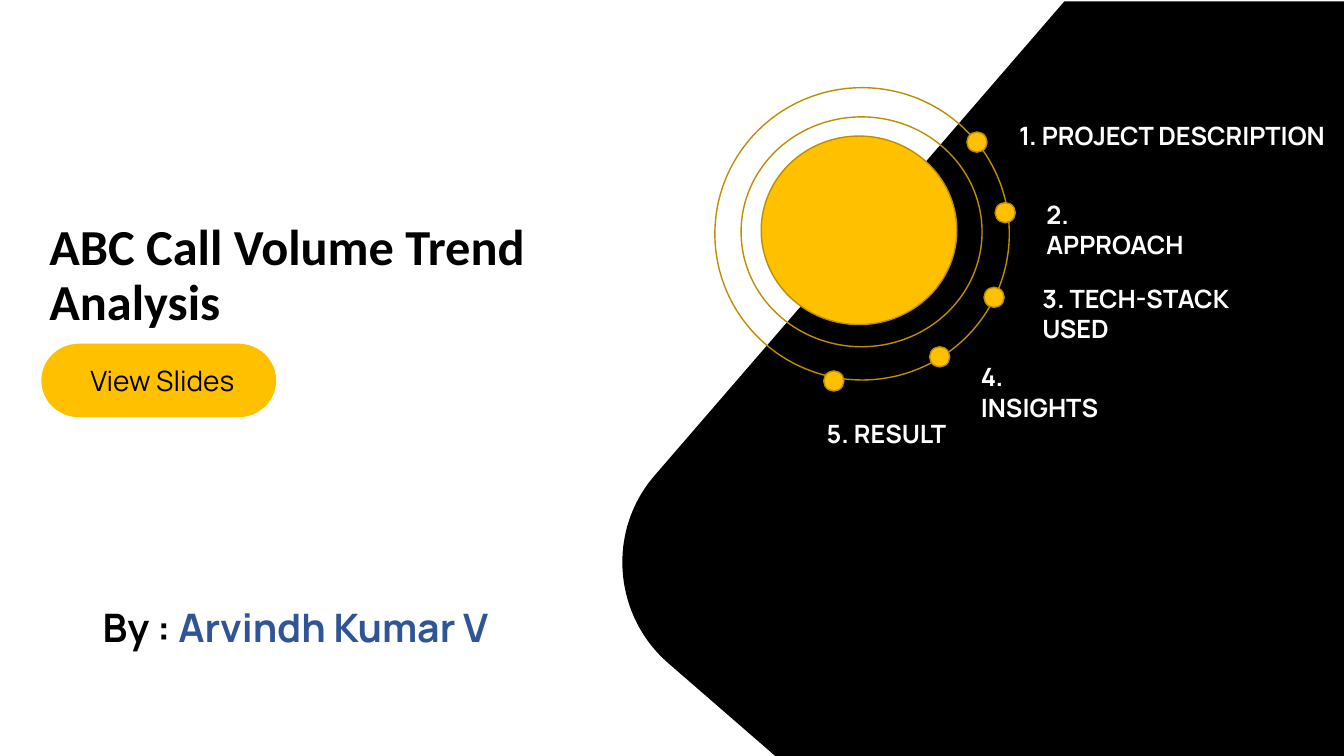
from dataclasses import dataclass

import pptx
import pptx.dml.color
import pptx.enum.shapes
import pptx.enum.text
import pptx.util

Inches = pptx.util.Inches
SHAPES = pptx.enum.shapes.MSO_SHAPE
ALIGN = pptx.enum.text.PP_ALIGN
ANCHOR = pptx.enum.text.MSO_ANCHOR
AUTO_SIZE = pptx.enum.text.MSO_AUTO_SIZE


@dataclass(frozen=True)
class Theme:
    black: str = "000000"
    white: str = "FFFFFF"
    gold: str = "FFC000"
    dark_gold: str = "BD8E00"
    blue: str = "2F5597"
    heading_font: str = "Calibri"
    body_font: str = "Manrope"
    title_size: int = 36
    author_size: int = 28
    button_size: int = 20
    agenda_size: int = 18


THEME = Theme()

# Each agenda entry: text, left, top, width, then left and top of its dot
AGENDA = [
    ("1. PROJECT DESCRIPTION", 10.01, 1.14, 3.33, 9.59, 1.31),
    ("2. APPROACH", 10.28, 1.93, 1.8, 9.87, 2.01),
    ("3. TECH-STACK USED", 10.24, 2.76, 2.68, 9.76, 2.85),
    ("4. INSIGHTS", 9.63, 3.54, 1.63, 9.22, 3.44),
    ("5. RESULT", 8.1, 4.1, 1.6, 8.17, 3.68),
]
DOT_SIZE = 0.2


def rgb(color):
    return pptx.dml.color.RGBColor.from_string(color)


def write_text(paragraph, text, *, size, color, font=THEME.body_font,
               bold=False, align=ALIGN.LEFT):
    paragraph.alignment = align
    run = paragraph.add_run()
    run.text = text
    run.font.name = font
    run.font.size = pptx.util.Pt(size)
    run.font.bold = bold
    run.font.color.rgb = rgb(color)


def style_shape(shape, fill=None, line=None):
    shape.shadow.inherit = False
    if fill:
        shape.fill.solid()
        shape.fill.fore_color.rgb = rgb(fill)
    else:
        shape.fill.background()
    if line:
        shape.line.color.rgb = rgb(line)
        shape.line.width = pptx.util.Pt(1)
    else:
        shape.line.fill.background()


def add_preset(slide, kind, left, top, width, height, fill=None, line=None):
    shape = slide.shapes.add_shape(
        kind, Inches(left), Inches(top), Inches(width), Inches(height))
    style_shape(shape, fill, line)
    return shape


def add_text_box(slide, left, top, width, height):
    box = slide.shapes.add_textbox(
        Inches(left), Inches(top), Inches(width), Inches(height))
    box.text_frame.word_wrap = True
    box.text_frame.auto_size = AUTO_SIZE.SHAPE_TO_FIT_TEXT
    return box.text_frame.paragraphs[0]


def bezier_points(start, control_1, control_2, end, steps=40):
    for step in range(1, steps + 1):
        t = step / steps
        weights = ((1 - t) ** 3, 3 * t * (1 - t) ** 2, 3 * t ** 2 * (1 - t), t ** 3)
        corners = (start, control_1, control_2, end)
        yield tuple(sum(w * corner[axis] for w, corner in zip(weights, corners))
                    for axis in (0, 1))


def add_dark_panel(slide):
    curve_start = (6.64, 6.58)
    outline = [(13.33, 0.02), (13.33, 7.5), (7.7, 7.5), curve_start]
    outline += bezier_points(curve_start, (6.09, 6.11), (6.02, 5.27), (6.5, 4.72))
    builder = slide.shapes.build_freeform(Inches(10.56), Inches(0.02))
    builder.add_line_segments([(Inches(x), Inches(y)) for x, y in outline], close=True)
    style_shape(builder.convert_to_shape(), THEME.black, THEME.black)


def add_title(slide):
    title = slide.shapes.title
    title.left, title.top = Inches(0.39), Inches(2.23)
    title.width, title.height = Inches(6.51), Inches(1.45)
    frame = title.text_frame
    frame.word_wrap = True
    frame.auto_size = AUTO_SIZE.NONE
    frame.vertical_anchor = ANCHOR.MIDDLE
    frame.margin_bottom = Inches(0.47)
    paragraph = frame.paragraphs[0]
    paragraph.line_spacing = 0.9
    write_text(paragraph, "ABC Call Volume Trend Analysis", size=THEME.title_size,
               color=THEME.black, font=THEME.heading_font, bold=True)


def add_author(slide):
    paragraph = add_text_box(slide, 0.92, 5.94, 4.22, 0.57)
    for text, color in (("By : ", THEME.black), ("Arvindh Kumar V", THEME.blue)):
        write_text(paragraph, text, size=THEME.author_size, color=color, bold=True)


def add_button(slide):
    button = add_preset(slide, SHAPES.FLOWCHART_TERMINATOR, 0.41, 3.41, 2.33, 0.73,
                        fill=THEME.gold)
    frame = button.text_frame
    frame.word_wrap = True
    frame.vertical_anchor = ANCHOR.MIDDLE
    frame.margin_left = Inches(0.17)
    write_text(frame.paragraphs[0], "View Slides", size=THEME.button_size,
               color=THEME.black, align=ALIGN.CENTER)


def main():
    presentation = pptx.Presentation()
    presentation.slide_width = Inches(13.33)
    presentation.slide_height = Inches(7.5)
    slide = presentation.slides.add_slide(presentation.slide_layouts[5])

    # Left side and dark panel
    add_title(slide)
    add_author(slide)
    add_dark_panel(slide)
    add_button(slide)

    # Gold disc and its two rings
    for place, fill in (((7.55, 1.35, 1.94, 1.87), THEME.gold),
                        ((7.35, 1.16, 2.39, 2.28), None),
                        ((7.09, 0.87, 2.92, 2.9), None)):
        add_preset(slide, SHAPES.OVAL, *place, fill=fill, line=THEME.dark_gold)

    # Agenda labels with their dots on the outer ring
    for text, left, top, width, dot_left, dot_top in AGENDA:
        write_text(add_text_box(slide, left, top, width, 0.4), text,
                   size=THEME.agenda_size, color=THEME.white, bold=True)
        add_preset(slide, SHAPES.OVAL, dot_left, dot_top, DOT_SIZE, DOT_SIZE,
                   fill=THEME.gold, line=THEME.dark_gold)

    presentation.save("out.pptx")


if __name__ == "__main__":
    main()
